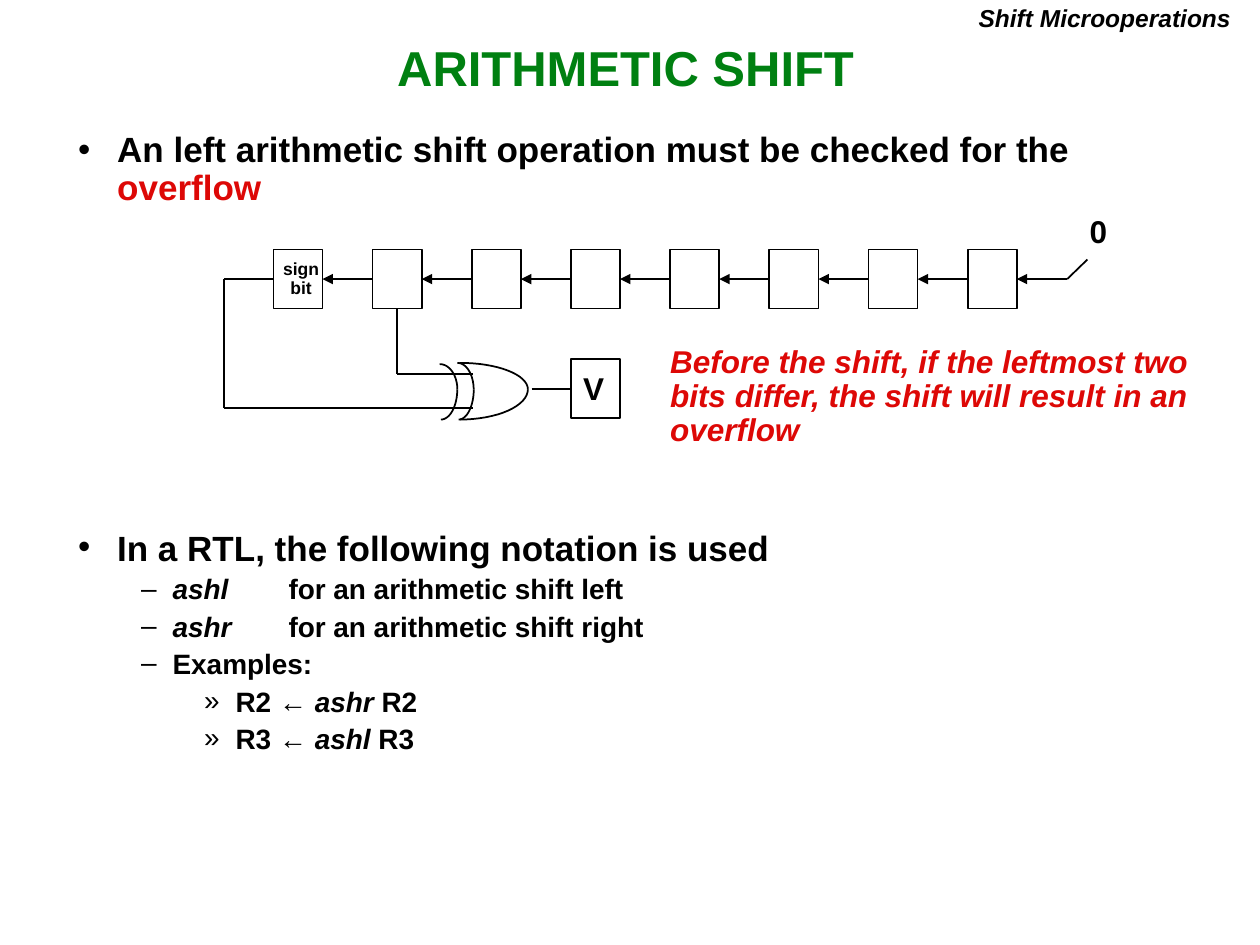
from math import cos, pi, sin

from lxml import etree
from pptx import Presentation
from pptx.dml.color import RGBColor
from pptx.enum.shapes import MSO_CONNECTOR, MSO_SHAPE
from pptx.enum.text import MSO_ANCHOR, MSO_AUTO_SIZE, PP_ALIGN
from pptx.oxml.ns import qn
from pptx.util import Inches, Pt

LEFT, CENTER, RIGHT = PP_ALIGN.LEFT, PP_ALIGN.CENTER, PP_ALIGN.RIGHT
TOP, MIDDLE = MSO_ANCHOR.TOP, MSO_ANCHOR.MIDDLE
NO_FIT = MSO_AUTO_SIZE.NONE
RECTANGLE, STRAIGHT = MSO_SHAPE.RECTANGLE, MSO_CONNECTOR.STRAIGHT
SIDE_LEFT, SIDE_BOTTOM, SIDE_RIGHT = 1, 2, 3
BLACK, GREEN, RED = "000000", "008011", "DD0806"

TITLE = "ARITHMETIC SHIFT"
OVERFLOW_RULE = [
    (0, [("An left arithmetic shift operation must be checked for the ", {}),
         ("overflow", {"color": RED})]),
]
ITALIC = {"italic": True}
NOTATION = [
    (0, [("In a RTL, the following notation is used", {})]),
    (1, [("ashl\t", ITALIC), ("for an arithmetic shift left", {})]),
    (1, [("ashr\t", ITALIC), ("for an arithmetic shift right", {})]),
    (1, [("Examples:", {})]),
    (2, [("R2 ← ", {}), ("ashr", ITALIC), (" R2", {})]),
    (2, [("R3 ← ", {}), ("ashl", ITALIC), (" R3", {})]),
]
LEVELS = [
    {"bullet": "•", "indent": 0.31, "hang": 0.31, "size": 20, "before": 7.5},
    {"bullet": "–", "indent": 0.75, "hang": 0.25, "size": 16, "before": 6},
    {"bullet": "»", "indent": 1.25, "hang": 0.25, "size": 16, "before": 6},
]
TAB_STOP = 1.67
LABELS = [
    ((7.57, 0, 2.3, 0.31), ["Shift Microoperations"], RIGHT, {"size": 14, "italic": True}),
    ((8.55, 1.67, 0.38, 0.37), ["0"], LEFT, {"size": 18}),
    ((2.09, 2.02, 0.6, 0.4), ["sign", "bit"], CENTER, {"size": 10}),
    ((4.53, 2.91, 0.4, 0.37), ["V"], LEFT, {"size": 18}),
    ((5.22, 2.7, 4.4, 0.91),
     ["Before the shift, if the leftmost two",
      "bits differ, the shift will result in an",
      "overflow"], LEFT, {"size": 18, "italic": True, "color": RED}),
]

BIT_COUNT, REGISTER_LEFT, REGISTER_TOP, BIT_PITCH = 8, 2.17, 1.98, 5.51 / 7
BIT_WIDTH, BIT_HEIGHT = 0.39, 0.47
BIT_MIDDLE = REGISTER_TOP + BIT_HEIGHT / 2
SECOND_BIT_CENTER = REGISTER_LEFT + BIT_PITCH + BIT_WIDTH / 2
V_LEFT, V_TOP = 4.53, 2.85
V_MIDDLE = V_TOP + BIT_HEIGHT / 2
FEEDBACK_X, ZERO_X = 1.78, 8.47
GATE_INPUT_X, UPPER_INPUT_Y, LOWER_INPUT_Y = 3.75, 2.97, 3.24
UPPER_ARCS = [(3.65, 2.88, 0.54, 0.21), (3.63, 2.88, 0.13, 0.21), (3.49, 2.89, 0.14, 0.2)]
LOWER_ARCS = [(3.65, 3.09, 0.54, 0.24), (3.64, 3.09, 0.12, 0.24), (3.5, 3.09, 0.13, 0.24)]
ARC_STEPS = 16


def rgb(color):
    return RGBColor.from_string(color)


def add_run(paragraph, text, style):
    run = paragraph.add_run()
    run.text = text
    font = {"name": "Arial", "bold": True, "italic": False, "color": BLACK, **style}
    run.font.color.rgb = rgb(font.pop("color"))
    font["size"] = Pt(font["size"])
    for attribute, value in font.items():
        setattr(run.font, attribute, value)


def setup_frame(shape, place, **settings):
    shape.left, shape.top, shape.width, shape.height = map(Inches, place)
    frame = {"margin_left": Inches(0.1), "margin_right": Inches(0.1),
             "margin_top": Inches(0.05), "margin_bottom": Inches(0.05),
             "vertical_anchor": TOP, "word_wrap": True, "auto_size": NO_FIT, **settings}
    for attribute, value in frame.items():
        setattr(shape.text_frame, attribute, value)
    return shape.text_frame


def add_lines(frame, lines, align, style):
    for index, line in enumerate(lines):
        paragraph = frame.add_paragraph() if index else frame.paragraphs[0]
        paragraph.alignment, paragraph.line_spacing = align, 0.9
        add_run(paragraph, line, style)


def add_bullets(frame, items, spacing):
    for index, (level, runs) in enumerate(items):
        look = LEVELS[level]
        paragraph = frame.add_paragraph() if index else frame.paragraphs[0]
        paragraph.level, paragraph.line_spacing = level, spacing
        paragraph.space_before = Pt(look["before"] if index else 0)
        properties = paragraph._p.get_or_add_pPr()
        properties.set("marL", str(Inches(look["indent"])))
        properties.set("indent", str(-Inches(look["hang"])))
        bullet_color = etree.SubElement(properties, qn("a:buClr"))
        etree.SubElement(bullet_color, qn("a:srgbClr"), val=BLACK)
        etree.SubElement(properties, qn("a:buChar"), char=look["bullet"])
        tabs = etree.SubElement(properties, qn("a:tabLst"))
        etree.SubElement(tabs, qn("a:tab"), pos=str(Inches(TAB_STOP)), algn="l")
        for text, style in runs:
            add_run(paragraph, text, {"size": look["size"], **style})


def outline(shape):
    shape.line.color.rgb = rgb(BLACK)
    shape.line.width = Pt(1)


def add_box(shapes, left, top):
    box = shapes.add_shape(RECTANGLE, *map(Inches, (left, top, BIT_WIDTH, BIT_HEIGHT)))
    box.shadow.inherit = False
    box.fill.background()
    outline(box)
    return box


def add_wire(shapes, start, end, begin_at=None, end_at=None, arrow=False):
    wire = shapes.add_connector(STRAIGHT, *map(Inches, (*start, *end)))
    if begin_at:
        wire.begin_connect(*begin_at)
    if end_at:
        wire.end_connect(*end_at)
    outline(wire)
    if arrow:
        etree.SubElement(wire.line._get_or_add_ln(), qn("a:tailEnd"), type="triangle")
    etree.SubElement(wire._element.spPr, qn("a:effectLst"))


def add_arc(shapes, place, upper):
    left, top, width, height = place
    angles = [step * pi / 2 / ARC_STEPS for step in range(ARC_STEPS + 1)]
    if upper:
        points = [(left + width * sin(a), top + height * (1 - cos(a))) for a in angles]
    else:
        points = [(left + width * cos(a), top + height * sin(a)) for a in angles]
    points = [(Inches(x), Inches(y)) for x, y in points]
    builder = shapes.build_freeform(*points[0])
    builder.add_line_segments(points[1:], close=False)
    arc = builder.convert_to_shape()
    arc.shadow.inherit = False
    arc.fill.background()
    outline(arc)


def draw_circuit(shapes):
    bits = [add_box(shapes, REGISTER_LEFT + i * BIT_PITCH, REGISTER_TOP)
            for i in range(BIT_COUNT)]
    zero_input, feedback = (ZERO_X, BIT_MIDDLE), (FEEDBACK_X, BIT_MIDDLE)
    for target, source in zip(bits, bits[1:]):
        add_wire(shapes, zero_input, zero_input, (source, SIDE_LEFT),
                 (target, SIDE_RIGHT), arrow=True)
    add_wire(shapes, zero_input, zero_input, end_at=(bits[-1], SIDE_RIGHT), arrow=True)
    add_wire(shapes, zero_input, (8.63, 2.06))

    for place in UPPER_ARCS:
        add_arc(shapes, place, upper=True)
    for place in LOWER_ARCS:
        add_arc(shapes, place, upper=False)

    overflow_bit = add_box(shapes, V_LEFT, V_TOP)
    upper_corner = (SECOND_BIT_CENTER, UPPER_INPUT_Y)
    lower_corner = (FEEDBACK_X, LOWER_INPUT_Y)
    add_wire(shapes, feedback, feedback, begin_at=(bits[0], SIDE_LEFT))
    add_wire(shapes, feedback, lower_corner)
    add_wire(shapes, (GATE_INPUT_X, LOWER_INPUT_Y), lower_corner)
    add_wire(shapes, upper_corner, upper_corner, begin_at=(bits[1], SIDE_BOTTOM))
    add_wire(shapes, (GATE_INPUT_X, UPPER_INPUT_Y), upper_corner)
    add_wire(shapes, (4.22, V_MIDDLE), (V_LEFT, V_MIDDLE), end_at=(overflow_bit, SIDE_LEFT))


def main():
    """Build the arithmetic shift slide."""
    presentation = Presentation()
    presentation.slide_width, presentation.slide_height = Inches(10), Inches(7.5)
    slide = presentation.slides.add_slide(presentation.slide_layouts[3])
    title, rule, notation = list(slide.placeholders)[:3]
    for footer in list(slide.placeholders)[3:]:
        footer._element.getparent().remove(footer._element)

    title_frame = setup_frame(
        title, (0.16, 0.32, 9.61, 0.48), vertical_anchor=MIDDLE,
        margin_left=Inches(0.07), margin_right=Inches(0.07),
        margin_top=Inches(0.03), margin_bottom=Inches(0.03))
    add_lines(title_frame, [TITLE], CENTER, {"size": 28, "color": GREEN})
    add_bullets(setup_frame(rule, (0.52, 1, 8.74, 1.06)), OVERFLOW_RULE, 0.9)
    add_bullets(setup_frame(notation, (0.52, 4.19, 8.74, 1.97)), NOTATION, 0.8)

    draw_circuit(slide.shapes)
    for place, lines, align, style in LABELS:
        label = slide.shapes.add_textbox(*map(Inches, place))
        add_lines(setup_frame(label, place), lines, align, style)
    presentation.save("out.pptx")


if __name__ == "__main__":
    main()
